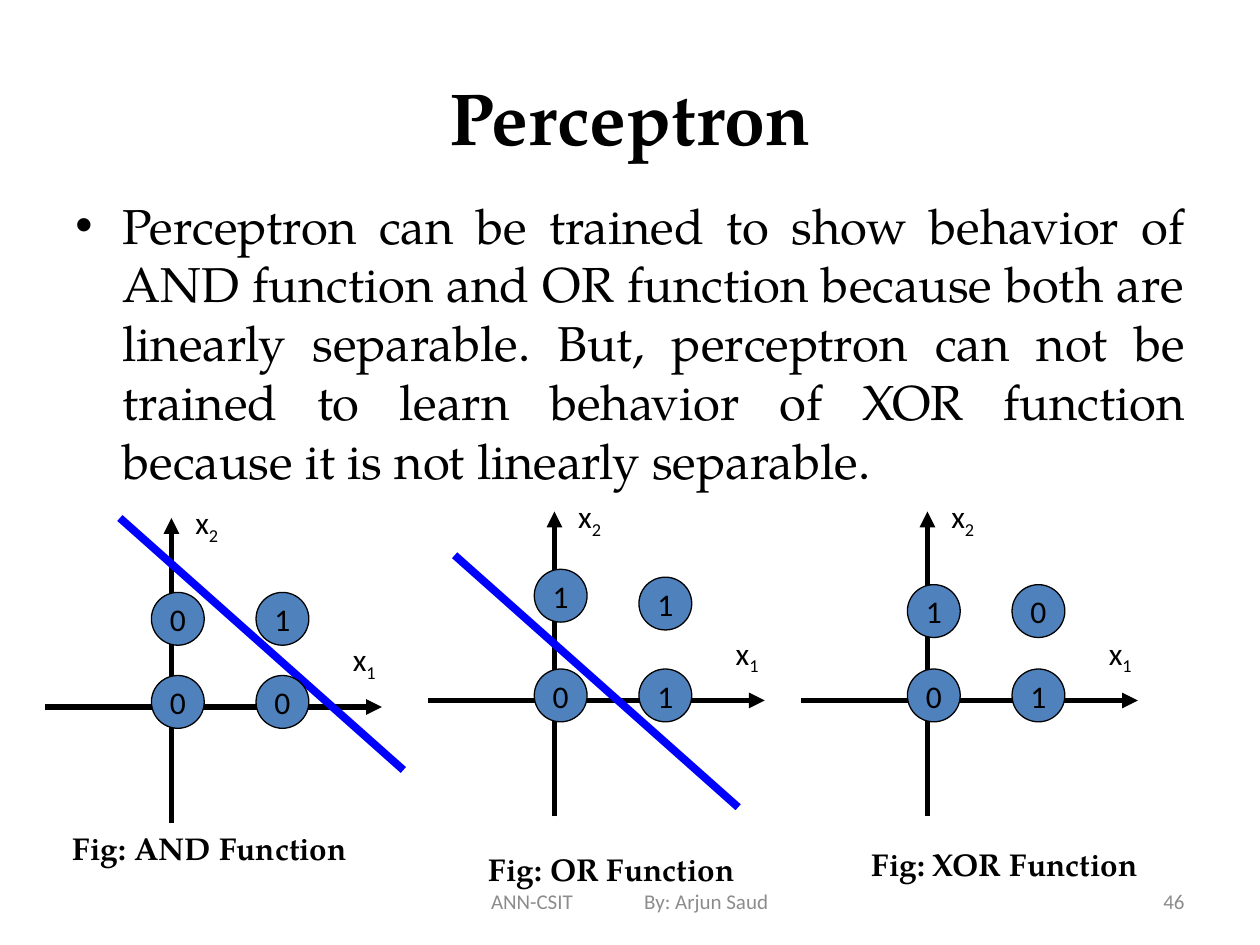
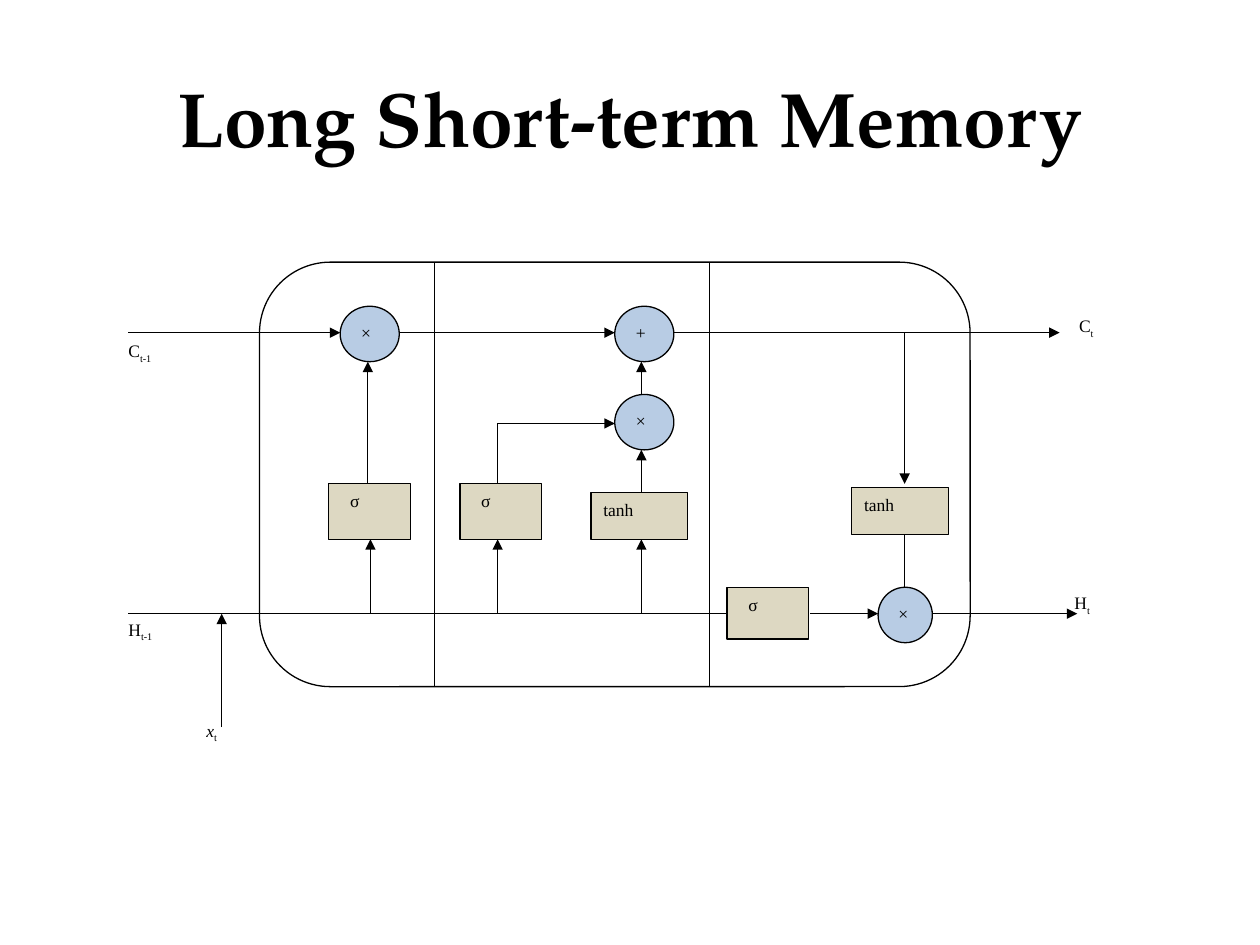
from pptx import Presentation
from pptx.dml.color import RGBColor
from pptx.enum.shapes import MSO_CONNECTOR, MSO_SHAPE
from pptx.enum.text import MSO_ANCHOR, PP_ALIGN
from pptx.oxml.ns import qn
from pptx.util import Pt
from lxml import etree

BLACK = RGBColor(0x00, 0x00, 0x00)
WHITE = RGBColor(0xFF, 0xFF, 0xFF)
FOOTER_GREY = RGBColor(0x8C, 0x8C, 0x8C)
BOUNDARY_BLUE = RGBColor(0x00, 0x00, 0xFF)
POINT_BLUE = RGBColor(0x4F, 0x81, 0xBD)
LAYER_TAN = RGBColor(0xDD, 0xD8, 0xC2)
OPERATION_BLUE = RGBColor(0xB8, 0xCC, 0xE4)

SERIF = "TeX Gyre Pagella"
SANS = "Calibri"
DIAGRAM_FONT = "Times New Roman"

LEFT, CENTER, RIGHT, JUSTIFY = (
    PP_ALIGN.LEFT, PP_ALIGN.CENTER, PP_ALIGN.RIGHT, PP_ALIGN.JUSTIFY)
TOP, MIDDLE = MSO_ANCHOR.TOP, MSO_ANCHOR.MIDDLE
RECT, OVAL, ROUNDED = (
    MSO_SHAPE.RECTANGLE, MSO_SHAPE.OVAL, MSO_SHAPE.ROUNDED_RECTANGLE)
STRAIGHT = MSO_CONNECTOR.STRAIGHT


def write(shape, text, font, size, color=BLACK, bold=False, align=LEFT,
          anchor=TOP, wrap=True, subscript="", italic=False):
    """Put one paragraph, with an optional subscript, into a shape."""
    frame = shape.text_frame
    frame.word_wrap = wrap
    frame.vertical_anchor = anchor
    paragraph = frame.paragraphs[0]
    paragraph.alignment = align
    paragraph.font.name = font
    paragraph.font.size = Pt(size)
    paragraph.font.bold = bold
    paragraph.font.color.rgb = color
    base = paragraph.add_run()
    base.text = text
    if italic:
        base.font.italic = True
    if subscript:
        index = paragraph.add_run()
        index.text = subscript
        index._r.get_or_add_rPr().set("baseline", "-25000")
    return paragraph


def add_text(slide, box, text, font, size, **style):
    textbox = slide.shapes.add_textbox(*map(Pt, box))
    return write(textbox, text, font, size, **style)


def add_outlined(slide, preset, box, fill=None, line=BLACK):
    shape = slide.shapes.add_shape(preset, *map(Pt, box))
    shape.shadow.inherit = False
    if fill is None:
        shape.fill.background()
    else:
        shape.fill.solid()
        shape.fill.fore_color.rgb = fill
    if line is None:
        shape.line.fill.background()
    else:
        shape.line.color.rgb = line
        shape.line.width = Pt(0.75)
    return shape


def add_line(slide, start, end, width=0.75, color=BLACK, arrow=False):
    connector = slide.shapes.add_connector(STRAIGHT, *map(Pt, (*start, *end)))
    connector.line.color.rgb = color
    connector.line.width = Pt(width)
    if arrow:
        outline = connector.line._get_or_add_ln()
        etree.SubElement(outline, qn("a:tailEnd"), type="triangle")
    etree.SubElement(connector._element.spPr, qn("a:effectLst"))


def add_title(slide, text, size):
    add_text(slide, (36, 21.6, 648, 90), text, SERIF, size,
             bold=True, align=CENTER, anchor=MIDDLE)


def add_bullet(slide, box, text):
    paragraph = add_text(slide, box, text, SERIF, 28, align=JUSTIFY)
    paragraph.space_before = Pt(5.6)
    properties = paragraph._p.get_or_add_pPr()
    properties.set("marL", str(Pt(27)))
    properties.set("indent", str(-Pt(27)))
    etree.SubElement(properties, qn("a:buFont"), typeface="Arial")
    etree.SubElement(properties, qn("a:buChar"), char="•")
    # The schema wants the bullet ahead of the default run properties.
    properties.append(properties.find(qn("a:defRPr")))


def add_footer(slide, course, author, number):
    top, height = 500.4, 28.8
    credit = slide.shapes.add_textbox(*map(Pt, (246.2, top, 228.2, height)))
    credit.text_frame.margin_left = Pt(34.4)
    paragraph = write(credit, f"{course}\t{author}", SANS, 12,
                      color=FOOTER_GREY, anchor=MIDDLE)
    properties = paragraph._p.get_or_add_pPr()
    stops = etree.Element(qn("a:tabLst"))
    etree.SubElement(stops, qn("a:tab"), pos=str(Pt(87.5)), algn="l")
    properties.find(qn("a:defRPr")).addprevious(stops)
    add_text(slide, (516.2, top, 167.8, height), number, SANS, 12,
             color=FOOTER_GREY, align=RIGHT, anchor=MIDDLE)


def add_function_plot(slide, left, top, points, caption, caption_at,
                      boundary_at=None):
    """Axes, four truth-table points, and a boundary if one separates them."""
    def at(x, y):
        return left + x, top + y

    add_line(slide, at(72, 174.2), at(72, 0), 3, arrow=True)
    add_line(slide, at(0, 108), at(192.2, 108), 3, arrow=True)
    for axis, x, y in (("1", 168.5, 66.2), ("2", 78.5, -12)):
        add_text(slide, (*at(x, y), 35.3, 36), "x", SANS, 18,
                 wrap=False, subscript=axis)
    if boundary_at:
        x, y = boundary_at
        add_line(slide, at(x, y), at(x + 162, y + 144), 4.5, BOUNDARY_BLUE)
    for output, column, y in points:
        x = 60.5 + column * 59.8
        point = add_outlined(slide, OVAL, (*at(x, y), 30.2, 30.2), POINT_BLUE)
        write(point, output, SANS, 18, align=CENTER, anchor=MIDDLE, wrap=False)
    add_text(slide, (*at(*caption_at), 173.5, 28.8), caption, SERIF, 18,
             bold=True)


def build_perceptron(slide):
    add_title(slide, "Perceptron", 42)
    add_bullet(slide, (36, 108, 648, 396),
               "Perceptron can be trained to show behavior of AND function "
               "and OR function because both are linearly separable. But, "
               "perceptron can not be trained to learn behavior of XOR "
               "function because it is not linearly separable.")
    add_function_plot(
        slide, 26, 296,
        [("1", 1, 42.5), ("0", 0, 42.5), ("0", 0, 90), ("0", 1, 90)],
        "Fig: AND Function", (8.6, 174.2), boundary_at=(42.5, 0))
    add_function_plot(
        slide, 244.8, 292.3,
        [("1", 1, 37.5), ("1", 0, 33), ("0", 0, 90), ("1", 1, 90)],
        "Fig: OR Function", (27.4, 190), boundary_at=(15, 25))
    add_function_plot(
        slide, 458, 292.3,
        [("0", 1, 41.8), ("1", 0, 41.8), ("0", 0, 90), ("1", 1, 90)],
        "Fig: XOR Function", (33, 187.2))
    add_footer(slide, "ANN-CSIT", "By: Arjun Saud", "46")


def add_lstm_cell(slide, left, top, width, height):
    state_y, hidden_y = 40.3, 200.9
    forget_x, input_x, candidate_x, output_x = 63.4, 136.1, 218.2, 368.6

    def at(x, y):
        return left + x, top + y

    def rule(x1, y1, x2, y2, arrow=True):
        add_line(slide, at(x1, y1), at(x2, y2), arrow=arrow)

    cell = add_outlined(slide, ROUNDED, (left, top, width, height))
    cell.adjustments[0] = 0.167

    layers = [
        ("σ", 39.6, 126.7, 46.8, 31.7),
        ("σ", 114.5, 126.7, 46.8, 31.7),
        ("tanh", 189.4, 131.8, 55.4, 26.6),
        ("σ", 267.1, 185.8, 46.8, 29.5),
        ("tanh", 338.4, 128.9, 55.4, 26.6),
    ]
    for activation, x, y, w, h in layers:
        layer = add_outlined(slide, RECT, (*at(x, y), w, h), LAYER_TAN)
        if activation == "σ":
            layer.text_frame.margin_left = Pt(12.2)
        write(layer, activation, DIAGRAM_FONT, 10)

    operations = [
        ("×", 353.5, 185.8, 31),
        ("×", 46.1, 25.2, 33.8),
        ("+", 203, 25.2, 33.8),
        ("×", 203, 75.6, 33.8),
    ]
    for operator, x, y, w in operations:
        operation = add_outlined(slide, OVAL, (*at(x, y), w, 31.7),
                                 OPERATION_BLUE)
        write(operation, operator, DIAGRAM_FONT, 10).line_spacing = 1.07

    signals = [
        ("C", "t-1", -82, 40.3, 7.2),
        ("H", "t-1", -82, 199.4, 7.2),
        ("x", "t", -37.4, 257, 7.2),
        ("C", "t", 458.6, 25.9, 9.7),
        ("H", "t", 458.6, 184.3, 7.2),
    ]
    for signal, step, x, y, inset in signals:
        label = add_outlined(slide, RECT, (*at(x, y), 46, 31), WHITE, None)
        label.text_frame.margin_left = Pt(inset)
        paragraph = write(label, signal, DIAGRAM_FONT, 10, subscript=step,
                          italic=signal == "x")
        paragraph.line_spacing = 1.07

    # Cell state and hidden state
    rule(-74.9, state_y, 46.1, state_y)
    rule(79.9, state_y, 203, state_y)
    rule(236.9, state_y, 457.2, state_y)
    rule(-74.9, hidden_y, 267.1, hidden_y, arrow=False)
    rule(314.6, hidden_y, 353.5, hidden_y)
    rule(384.5, hidden_y, 467.3, hidden_y)
    rule(-21.6, 265.7, -21.6, hidden_y)

    # Gates
    for x in (forget_x, input_x, candidate_x):
        rule(x, hidden_y, x, 158.4)
    rule(61.9, 126.7, 61.9, 56.9)
    rule(input_x, 126.7, input_x, 92.2, arrow=False)
    rule(input_x, 92.2, 203, 92.2)
    rule(candidate_x, 131.8, candidate_x, 107.3)
    rule(candidate_x, 75.6, candidate_x, 56.9)
    rule(output_x, state_y, output_x, 126.7)
    rule(output_x, 185.8, output_x, 155.5, arrow=False)

    for divider_x in (100.1, 257):
        rule(divider_x, 0, divider_x, height, arrow=False)


def build_lstm(slide):
    add_title(slide, "Long Short-term Memory", 44)
    add_lstm_cell(slide, 148.3, 149.8, 406.1, 242.6)


def main():
    deck = Presentation()
    deck.slide_width, deck.slide_height = Pt(720), Pt(540)
    blank = deck.slide_layouts[6]
    for build in (build_perceptron, build_lstm):
        build(deck.slides.add_slide(blank))
    deck.save("out.pptx")


if __name__ == "__main__":
    main()
